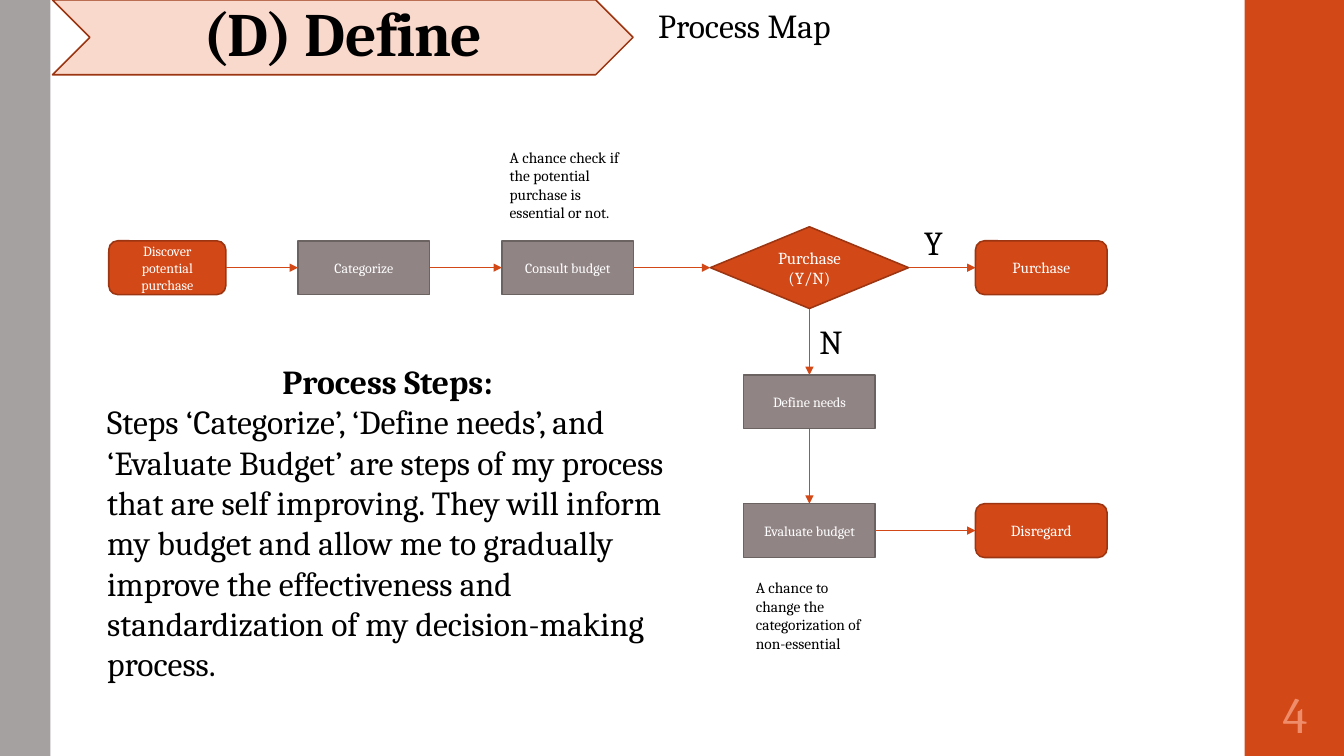
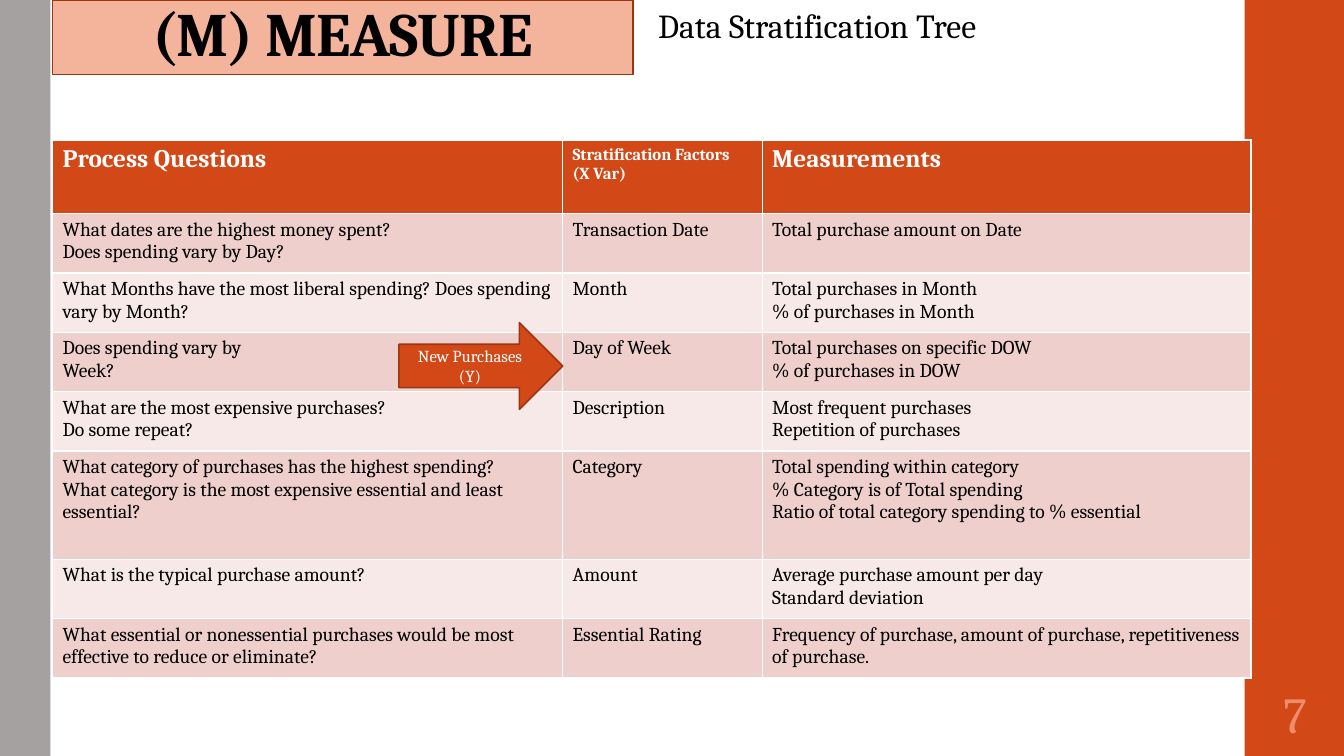
from lxml.etree import SubElement
from pptx import Presentation
from pptx.dml.color import RGBColor
from pptx.enum.shapes import MSO_CONNECTOR, MSO_SHAPE
from pptx.enum.text import MSO_ANCHOR, PP_ALIGN
from pptx.oxml.ns import qn
from pptx.util import Pt

FONT = "Cambria"
ORANGE, DARK_ORANGE, PALE_ORANGE = "D34817", "9C3511", "EF8C6A"
GRAY, DARK_GRAY, BAND_GRAY = "918485", "6B6262", "A6A1A1"
BLACK, WHITE = "000000", "FFFFFF"
ROW_FILLS = ("F7E9E8", "EFCFCC")
TOP, LEFT, BOTTOM, RIGHT = range(4)

SLIDE_WIDTH, SLIDE_HEIGHT = 960, 540
BAND_LEFT, BAND_WIDTH = 889, 72
CONTENT_LEFT = 37.5

BOX_HEIGHT = 38.4
KINDS = {
    "terminal": (MSO_SHAPE.ROUNDED_RECTANGLE, ORANGE, DARK_ORANGE),
    "step": (MSO_SHAPE.RECTANGLE, GRAY, DARK_GRAY),
    "decision": (MSO_SHAPE.FLOWCHART_DECISION, ORANGE, DARK_ORANGE),
}
ROW_1, ROW_2, ROW_3 = 191.2, 287, 379
DECISION_X, END_X = 578.2, 743.8
# name: kind, text, centre x, centre y, width, height, text size
BOXES = {
    "discover": ("terminal", "Discover potential purchase", 119.5, ROW_1, 83.6, BOX_HEIGHT, 10),
    "categorize": ("step", "Categorize", 259.9, ROW_1, 94, BOX_HEIGHT, 10),
    "consult": ("step", "Consult budget", 405.5, ROW_1, 94, BOX_HEIGHT, 10),
    "decide": ("decision", "Purchase (Y/N)", DECISION_X, ROW_1, 141.6, 58.4, 12),
    "purchase": ("terminal", "Purchase", END_X, ROW_1, 94, BOX_HEIGHT, 11),
    "needs": ("step", "Define needs", DECISION_X, ROW_2, 94, BOX_HEIGHT, 10),
    "evaluate": ("step", "Evaluate budget", DECISION_X, ROW_3, 94, BOX_HEIGHT, 10),
    "disregard": ("terminal", "Disregard", END_X, ROW_3, 94, BOX_HEIGHT, 11),
}
ARROWS = [
    ("discover", RIGHT, "categorize", LEFT),
    ("categorize", RIGHT, "consult", LEFT),
    ("consult", RIGHT, "decide", LEFT),
    ("decide", RIGHT, "purchase", LEFT),
    ("decide", BOTTOM, "needs", TOP),
    ("needs", BOTTOM, "evaluate", TOP),
    ("evaluate", RIGHT, "disregard", LEFT),
]
# text, left, top, width, height, size
LABELS = [
    ("Y", 653, 154.8, 29.5, 36, 24),
    ("N", 578.2, 226, 29.5, 36, 24),
    ("A chance to change the categorization of non-essential", 532.8, 409.7, 100, 60.5, 11),
    ("A chance check if the potential purchase is essential or not.", 357, 102, 100, 60.5, 11),
]
STEPS_HEADING = "Process Steps:"
STEPS_TEXT = (
    "Steps ‘Categorize’, ‘Define needs’, and ‘Evaluate Budget’ are steps of my process "
    "that are self improving. They will inform my budget and allow me to gradually improve "
    "the effectiveness and standardization of my decision-making process."
)

COLUMN_WIDTHS = (364.3, 142.6, 349.2)
ROW_HEIGHTS = (52.6, 42.4, 42.4, 42.4, 42.4, 77.4, 42.4, 42.4)
HEADER_SIZES = (18, 12, 18)
TABLE_ROWS = [
    ("Process Questions", "Stratification Factors\n(X Var)", "Measurements"),
    ("What dates are the highest money spent?\nDoes spending vary by Day?",
     "Transaction Date", "Total purchase amount on Date"),
    ("What Months have the most liberal spending? Does spending vary by Month?",
     "Month", "Total purchases in Month\n% of purchases in Month"),
    ("Does spending vary by\nWeek?",
     "Day of Week", "Total purchases on specific DOW\n% of purchases in DOW"),
    ("What are the most expensive purchases?\nDo some repeat?",
     "Description", "Most frequent purchases\nRepetition of purchases"),
    ("What category of purchases has the highest spending?\n"
     "What category is the most expensive essential and least essential?",
     "Category", "Total spending within category\n% Category is of Total spending\n"
     "Ratio of total category spending to % essential"),
    ("What is the typical purchase amount?",
     "Amount", "Average purchase amount per day\nStandard deviation"),
    ("What essential or nonessential purchases would be most effective to reduce or eliminate?",
     "Essential Rating",
     "Frequency of purchase, amount of purchase, repetitiveness of purchase."),
]


def color(hex_string):
    return RGBColor.from_string(hex_string)


def write_text(frame, text, size, text_color=BLACK, bold=False, align=PP_ALIGN.LEFT):
    """Fill the frame with one paragraph for each line of text."""
    frame.word_wrap = True
    for index, line in enumerate(text.split("\n")):
        paragraph = frame.paragraphs[0] if index == 0 else frame.add_paragraph()
        paragraph.alignment = align
        run = paragraph.add_run()
        run.text = line
        for name, value in {"name": FONT, "size": Pt(size), "bold": bold}.items():
            setattr(run.font, name, value)
        run.font.color.rgb = color(text_color)


def add_text(slide, text, left, top, width, height, size, **text_format):
    shape = slide.shapes.add_textbox(Pt(left), Pt(top), Pt(width), Pt(height))
    write_text(shape.text_frame, text, size, **text_format)
    return shape


def add_box(slide, preset, left, top, width, height, fill, line=None):
    shape = slide.shapes.add_shape(preset, Pt(left), Pt(top), Pt(width), Pt(height))
    shape.shadow.inherit = False
    shape.fill.solid()
    shape.fill.fore_color.rgb = color(fill)
    if line:
        shape.line.color.rgb = color(line)
        shape.line.width = Pt(1.1)
    else:
        shape.line.fill.background()
    shape.text_frame.vertical_anchor = MSO_ANCHOR.MIDDLE
    return shape


def add_arrow(slide, start, start_side, end, end_side):
    connector = slide.shapes.add_connector(MSO_CONNECTOR.STRAIGHT, 0, 0, 0, 0)
    connector.begin_connect(start, start_side)
    connector.end_connect(end, end_side)
    connector.line.color.rgb = color(ORANGE)
    connector.line.width = Pt(0.75)
    SubElement(connector.line._get_or_add_ln(), qn("a:tailEnd"), type="triangle")
    SubElement(connector._element.spPr, qn("a:effectLst"))


def add_base_slide(presentation, title, title_preset, title_fill, subtitle, number):
    """Add a slide with side bands, title banner, subtitle and page number."""
    slide = presentation.slides.add_slide(presentation.slide_layouts[6])
    add_box(slide, MSO_SHAPE.RECTANGLE, BAND_LEFT, 0, BAND_WIDTH, SLIDE_HEIGHT, ORANGE)
    add_box(slide, MSO_SHAPE.RECTANGLE, 0, 0, 36, SLIDE_HEIGHT, BAND_GRAY)

    banner = add_box(slide, title_preset, CONTENT_LEFT, 0, 414.7, 53.4, title_fill, DARK_ORANGE)
    frame = banner.text_frame
    frame.margin_top, frame.margin_bottom = Pt(2.2), Pt(3.6)
    write_text(frame, title, 44, bold=True, align=PP_ALIGN.CENTER)
    paragraph = frame.paragraphs[0]
    paragraph.line_spacing = 0.9
    paragraph.runs[0]._r.get_or_add_rPr().set("spc", "-50")

    add_text(slide, subtitle, 463, 0, 414.7, 36, 24)
    page = add_text(slide, number, BAND_LEFT, 486, BAND_WIDTH, 46.8, 36,
                    text_color=PALE_ORANGE, align=PP_ALIGN.CENTER)
    page.text_frame.vertical_anchor = MSO_ANCHOR.MIDDLE
    return slide


def build_process_map(presentation):
    slide = add_base_slide(presentation, "(D) Define", MSO_SHAPE.CHEVRON, "FAD9CD",
                           "Process Map", "4")
    shapes = {}
    for name, (kind, text, center_x, center_y, width, height, size) in BOXES.items():
        preset, fill, line = KINDS[kind]
        shapes[name] = add_box(slide, preset, center_x - width / 2, center_y - height / 2,
                               width, height, fill, line)
        write_text(shapes[name].text_frame, text, size, WHITE, align=PP_ALIGN.CENTER)
    for start, start_side, end, end_side in ARROWS:
        add_arrow(slide, shapes[start], start_side, shapes[end], end_side)
    for label in LABELS:
        add_text(slide, *label)

    steps = add_text(slide, f"{STEPS_HEADING}\n{STEPS_TEXT}", 69.5, 254.2, 414.7, 239.8, 24)
    heading = steps.text_frame.paragraphs[0]
    heading.alignment = PP_ALIGN.CENTER
    heading.runs[0].font.bold = True


def build_stratification_table(presentation):
    slide = add_base_slide(presentation, "(M) MEASURE", MSO_SHAPE.RECTANGLE, "F4B39B",
                           "Data Stratification Tree", "7")
    table = slide.shapes.add_table(
        len(TABLE_ROWS), len(COLUMN_WIDTHS), Pt(CONTENT_LEFT), Pt(100),
        Pt(sum(COLUMN_WIDTHS)), Pt(sum(ROW_HEIGHTS))).table
    for column, width in zip(table.columns, COLUMN_WIDTHS):
        column.width = Pt(width)
    for row_index, (texts, height) in enumerate(zip(TABLE_ROWS, ROW_HEIGHTS)):
        table.rows[row_index].height = Pt(height)
        is_header = row_index == 0
        for column_index, text in enumerate(texts):
            cell = table.cell(row_index, column_index)
            cell.fill.solid()
            cell.fill.fore_color.rgb = color(ORANGE if is_header else ROW_FILLS[row_index % 2])
            write_text(cell.text_frame, text,
                       HEADER_SIZES[column_index] if is_header else 14,
                       WHITE if is_header else BLACK, bold=is_header)

    arrow = add_box(slide, MSO_SHAPE.RIGHT_ARROW, 285, 230.4, 117, 62, ORANGE, DARK_ORANGE)
    write_text(arrow.text_frame, "New Purchases\n(Y)", 12, WHITE, align=PP_ALIGN.CENTER)


def main():
    presentation = Presentation()
    presentation.slide_width, presentation.slide_height = Pt(SLIDE_WIDTH), Pt(SLIDE_HEIGHT)
    build_process_map(presentation)
    build_stratification_table(presentation)
    presentation.save("out.pptx")


if __name__ == "__main__":
    main()
